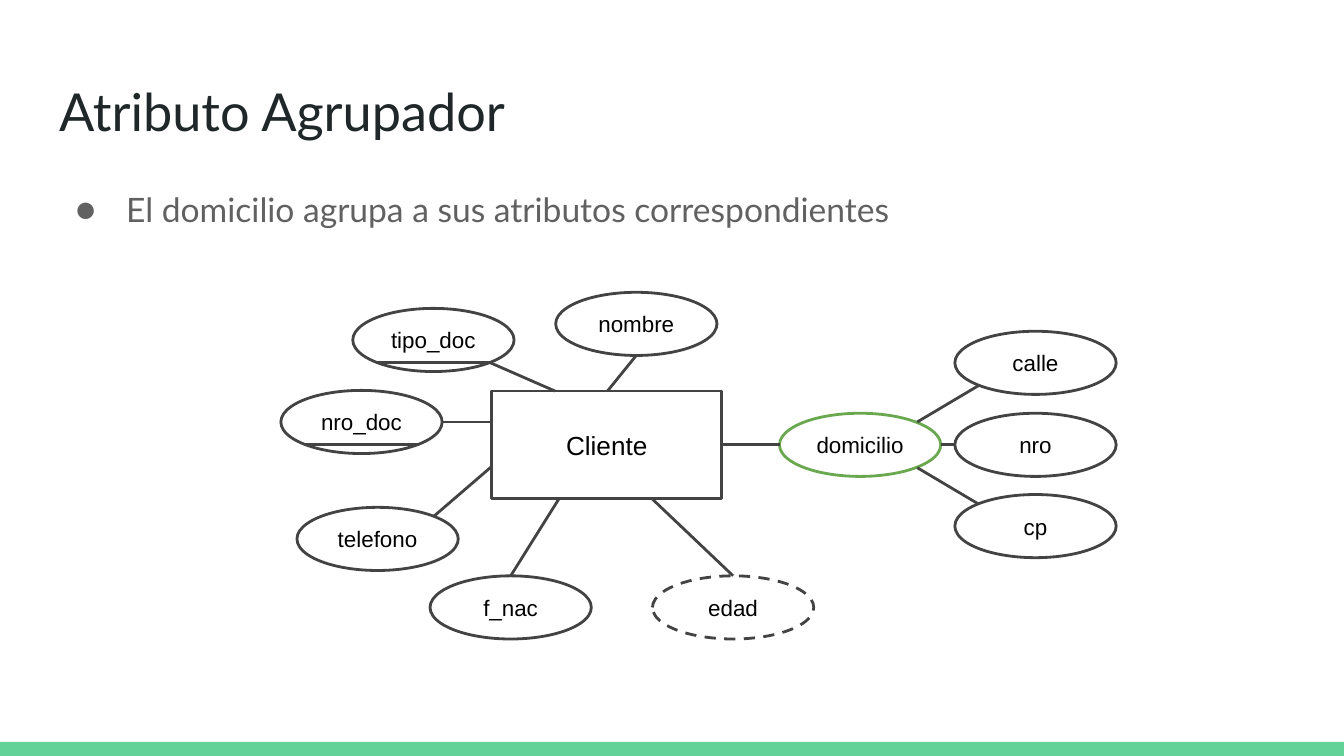
"""Build the slide on the grouping attribute of an entity-relationship diagram."""
from lxml.etree import SubElement
from pptx import Presentation
from pptx.dml.color import RGBColor
from pptx.enum.dml import MSO_LINE
from pptx.enum.shapes import MSO_CONNECTOR, MSO_SHAPE
from pptx.enum.text import MSO_ANCHOR, MSO_AUTO_SIZE, PP_ALIGN
from pptx.oxml.ns import qn
from pptx.util import Pt

PX = 4572
MINT = RGBColor(0x63, 0xD2, 0x97)
INK = RGBColor(0x20, 0x27, 0x29)
GRAY = RGBColor(0x61, 0x61, 0x61)
OUTLINE = RGBColor(0x43, 0x43, 0x43)
GREEN = RGBColor(0x6A, 0xA8, 0x4F)
BLACK = RGBColor(0, 0, 0)

INSETS = {f"margin_{side}": 20 * PX for side in ("left", "top", "right", "bottom")}
HEADING_FRAME = INSETS | {"word_wrap": True, "auto_size": MSO_AUTO_SIZE.NONE,
                          "vertical_anchor": MSO_ANCHOR.TOP}
NODE_FRAME = INSETS | {"word_wrap": False, "vertical_anchor": MSO_ANCHOR.MIDDLE}


def write(shape, text, frame_format, align, font_format, color):
    frame = shape.text_frame
    frame.text = text
    for name, value in frame_format.items():
        setattr(frame, name, value)
    paragraph = frame.paragraphs[0]
    paragraph.alignment = align
    font = paragraph.runs[0].font
    for name, value in font_format.items():
        setattr(font, name, value)
    font.color.rgb = color
    return paragraph


def add_node(kind, box, text, size, color=OUTLINE):
    node = slide.shapes.add_shape(kind, *(n * PX for n in box))
    node.shadow.inherit = False
    node.fill.background()
    node.line.color.rgb = color
    node.line.width = Pt(1.5)
    write(node, text, NODE_FRAME, PP_ALIGN.CENTER, {"name": "Arial", "size": Pt(size)}, BLACK)
    return node


presentation = Presentation()
presentation.slide_width = 2000 * PX
presentation.slide_height = 1125 * PX
slide = presentation.slides.add_slide(presentation.slide_layouts[5])

footer_band = slide.shapes.add_shape(MSO_SHAPE.RECTANGLE, 0, 1104 * PX, 2000 * PX, 21 * PX)
footer_band.shadow.inherit = False
footer_band.fill.solid()
footer_band.fill.fore_color.rgb = MINT
footer_band.line.fill.background()

heading = slide.shapes.title
for name, value in {"left": 68, "top": 98, "width": 1864, "height": 126}.items():
    setattr(heading, name, value * PX)
write(heading, "Atributo Agrupador", HEADING_FRAME, PP_ALIGN.LEFT,
      {"name": "Lato", "size": Pt(28)}, INK)

statement = slide.shapes.add_textbox(68 * PX, 252 * PX, 1864 * PX, 110 * PX)
bullet = write(statement, "El domicilio agrupa a sus atributos correspondientes", HEADING_FRAME,
               PP_ALIGN.LEFT, {"name": "Lato", "size": Pt(18)}, GRAY)
bullet.line_spacing = 1.15
properties = bullet._p.get_or_add_pPr()
properties.set("marL", str(100 * PX))
properties.set("indent", str(-75 * PX))
bullet_color = SubElement(properties, qn("a:buClr"))
SubElement(bullet_color, qn("a:srgbClr"), val=str(GRAY))
SubElement(properties, qn("a:buFont"), typeface="Lato")
SubElement(properties, qn("a:buChar"), char="●")

cliente = add_node(MSO_SHAPE.RECTANGLE, (732, 582, 342, 160), "Cliente", 14)

attributes = {
    "tipo_doc": (525, 459), "nro_doc": (418, 581), "telefono": (442, 755),
    "nombre": (827, 435), "f_nac": (640, 857), "edad": (971, 857),
    "domicilio": (1160, 615),
    "calle": (1421, 493), "nro": (1421, 615), "cp": (1421, 736),
}
for attribute, (left, top) in attributes.items():
    oval = add_node(MSO_SHAPE.OVAL, (left, top, 240, 94), attribute, 12,
                    GREEN if attribute == "domicilio" else OUTLINE)
    if attribute == "edad":
        oval.line.dash_style = MSO_LINE.DASH

cliente_to_domicilio = (1074, 662, 1160, 662)
links = [
    (730, 540, 826, 582), (658, 628, 732, 628), (732, 694, 646, 768),
    (946, 530, 904, 582), (1091, 857, 970, 742), (760, 857, 832, 742),
    (1365, 628, 1456, 574), (1400, 662, 1421, 662), (1365, 696, 1456, 750),
    cliente_to_domicilio,
]
key_underlines = [(560, 540, 730, 540), (454, 662, 624, 662)]
for ends in links + key_underlines:
    link = slide.shapes.add_connector(MSO_CONNECTOR.STRAIGHT, *(n * PX for n in ends))
    link.line.color.rgb = OUTLINE
    link.line.width = Pt(1.5)
    SubElement(link._element.spPr, qn("a:effectLst"))
    if ends == cliente_to_domicilio:
        link.begin_connect(cliente, 3)

presentation.save("out.pptx")
